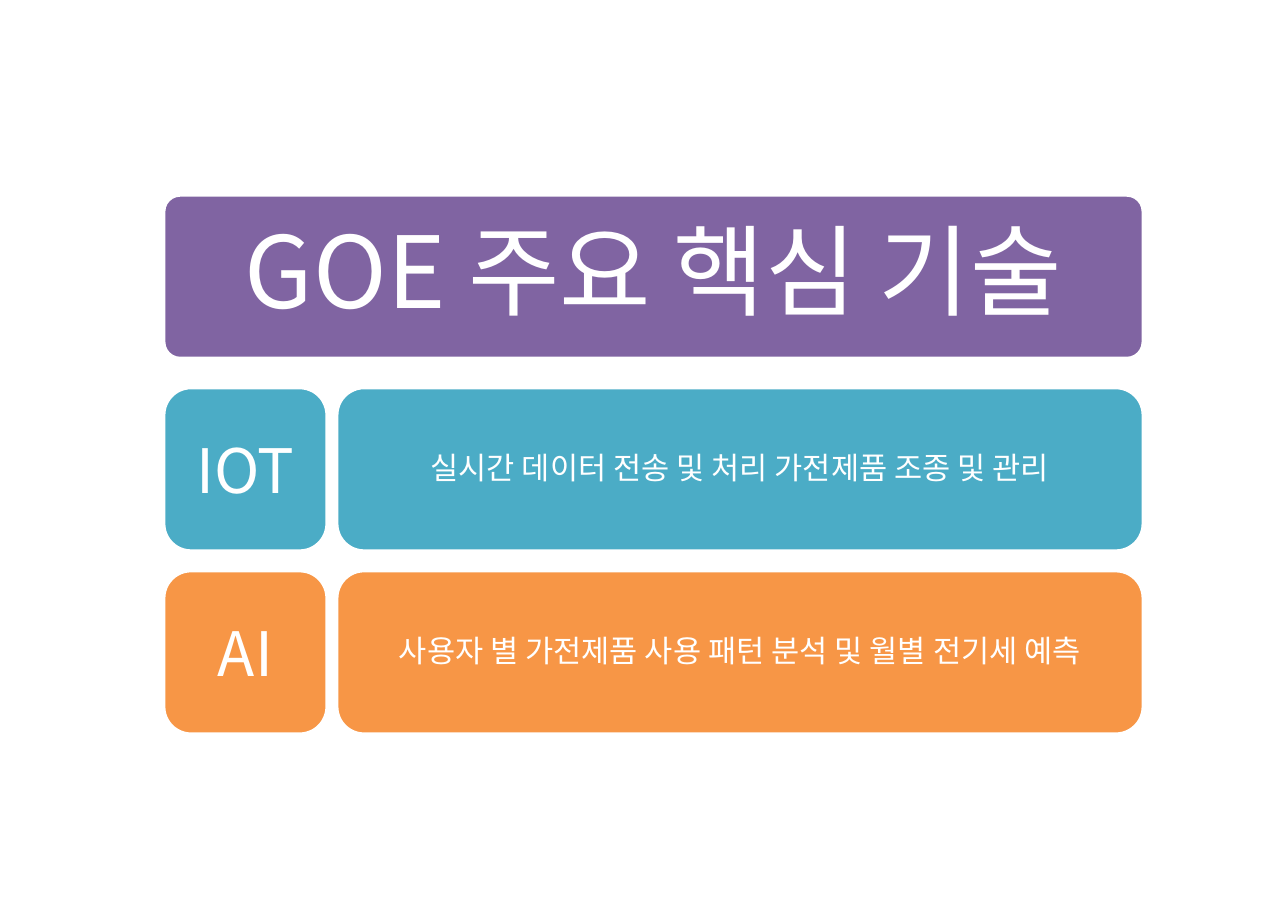
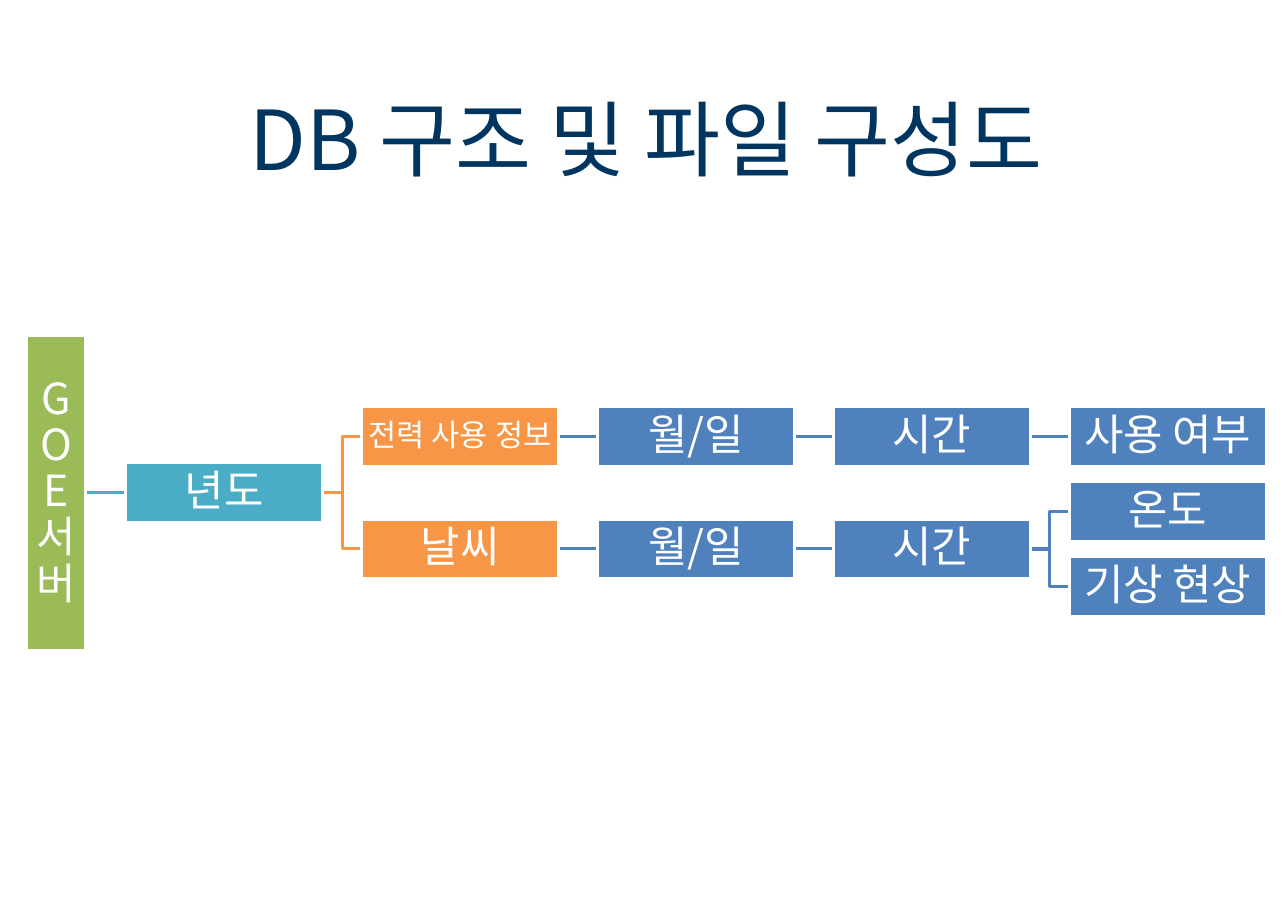
from dataclasses import dataclass

from lxml.etree import SubElement
from pptx import Presentation
from pptx.dml.color import RGBColor
from pptx.enum.shapes import MSO_CONNECTOR, MSO_SHAPE
from pptx.enum.text import MSO_ANCHOR, MSO_AUTO_SIZE, PP_ALIGN
from pptx.oxml.ns import qn
from pptx.util import Cm, Pt

TITLE_ONLY = 5
RIGHT_SIDE, LEFT_SIDE = 3, 1


@dataclass(frozen=True)
class Theme:
    font: str = "Noto Sans CJK KR"
    white: str = "FFFFFF"
    navy: str = "00355F"
    purple: str = "8064A2"
    teal: str = "4BACC6"
    orange: str = "F79646"
    green: str = "9BBB59"
    blue: str = "4F81BD"
    banner_size: int = 65
    title_size: int = 54
    label_size: int = 40
    node_size: int = 28
    detail_size: int = 20
    line_width: int = 2
    line_spacing: float = 0.9


THEME = Theme()


@dataclass
class Node:
    """Box of the tree; a leaf has a row, a parent sits midway between its children."""
    text: str
    color: str
    children: tuple = ()
    leaf_row: float = 0
    size: int = THEME.node_size

    @property
    def row(self):
        if not self.children:
            return self.leaf_row
        return sum(child.row for child in self.children) / len(self.children)


class Deck:
    def __init__(self, theme):
        self.theme = theme
        self.presentation = Presentation()
        self.presentation.slide_width = Cm(29.7)
        self.presentation.slide_height = Cm(21)
        self.slide = None

    def add_slide(self):
        layout = self.presentation.slide_layouts[TITLE_ONLY]
        self.slide = self.presentation.slides.add_slide(layout)

    def set_text(self, shape, text, size, color, margin=0.05, spacing=None,
                 anchor=MSO_ANCHOR.MIDDLE):
        frame = shape.text_frame
        frame.text = text
        frame.word_wrap = True
        frame.auto_size = MSO_AUTO_SIZE.NONE
        frame.vertical_anchor = anchor
        frame.margin_left = frame.margin_right = Cm(margin)
        frame.margin_top = frame.margin_bottom = Cm(min(margin, 0.13))
        paragraph = frame.paragraphs[0]
        paragraph.alignment = PP_ALIGN.CENTER
        paragraph.line_spacing = spacing
        paragraph.font.size = Pt(size)
        paragraph.font.color.rgb = RGBColor.from_string(color)
        paragraph.font.name = self.theme.font
        properties = paragraph._p.pPr.find(qn("a:defRPr"))
        SubElement(properties, qn("a:ea")).set("typeface", self.theme.font)

    def title(self, text, left, top, width, height, size, color, **style):
        title = self.slide.shapes.title
        title.left, title.top = Cm(left), Cm(top)
        title.width, title.height = Cm(width), Cm(height)
        self.set_text(title, text, size, color, **style)
        return title

    def box(self, left, top, width, height, color, corner=None):
        """Add a white-edged box; corner is the rounding ratio, if any."""
        kind = MSO_SHAPE.RECTANGLE if corner is None else MSO_SHAPE.ROUNDED_RECTANGLE
        shape = self.slide.shapes.add_shape(kind, Cm(left), Cm(top), Cm(width), Cm(height))
        if corner is not None:
            shape.adjustments[0] = corner
        shape.shadow.inherit = False
        shape.fill.solid()
        shape.fill.fore_color.rgb = RGBColor.from_string(color)
        shape.line.color.rgb = RGBColor.from_string(self.theme.white)
        shape.line.width = Pt(self.theme.line_width)
        return shape

    def banner(self, text, left, top, width, height, color):
        """Lay the slide title over a rounded band."""
        band = self.box(left, top, width, height, color, corner=0.1)
        title = self.title(text, left, top, width, height, self.theme.banner_size,
                           self.theme.white, margin=0.4, spacing=self.theme.line_spacing)
        title.element.addprevious(band.element)

    def link(self, parent, child, color):
        """Join two boxes side to side, behind both of them."""
        start_y, end_y = (box.top + box.height // 2 for box in (parent, child))
        level = abs(start_y - end_y) < Pt(1)
        kind = MSO_CONNECTOR.STRAIGHT if level else MSO_CONNECTOR.ELBOW
        connector = self.slide.shapes.add_connector(
            kind, parent.left + parent.width, start_y, child.left, end_y)
        connector.begin_connect(parent, RIGHT_SIDE)
        connector.end_connect(child, LEFT_SIDE)
        connector.line.color.rgb = RGBColor.from_string(color)
        connector.line.width = Pt(self.theme.line_width)
        SubElement(connector.element.spPr, qn("a:effectLst"))
        parent.element.addprevious(connector.element)

    def tree(self, node, column=0, parent=None):
        first_left, column_step, first_row, row_step = 2.9, 5.44, 10.06, 1.73
        thickness, width, root_length, root_left = 1.38, 4.54, 7.26, 0.6
        center = first_row + node.row * row_step
        if parent is None:
            shape = self.box(root_left, center - root_length / 2, thickness, root_length, node.color)
        else:
            left = first_left + (column - 1) * column_step
            shape = self.box(left, center - thickness / 2, width, thickness, node.color)
            self.link(parent, shape, node.color)
        self.set_text(shape, node.text, node.size, self.theme.white,
                      spacing=self.theme.line_spacing)
        for child in node.children:
            self.tree(child, column + 1, shape)


def build_technology_slide(deck):
    theme = deck.theme
    left, width, height, detail_left = 3.78, 22.58, 3.76, 7.77
    first_top, row_step, corner = 8.94, 4.22, 0.167
    deck.add_slide()
    deck.banner("GOE 주요 핵심 기술", left, 4.5, width, height, theme.purple)
    rows = (
        ("IOT", "실시간 데이터 전송 및 처리 가전제품 조종 및 관리", theme.teal),
        ("AI", "사용자 별 가전제품 사용 패턴 분석 및 월별 전기세 예측", theme.orange),
    )
    for index, (name, detail, color) in enumerate(rows):
        top = first_top + index * row_step
        label = deck.box(left, top, height, height, color, corner)
        deck.set_text(label, name, theme.label_size, theme.white)
        panel = deck.box(detail_left, top, left + width - detail_left, height, color, corner)
        deck.set_text(panel, detail, theme.detail_size, theme.white, margin=0.5,
                      spacing=theme.line_spacing)


def build_database_slide(deck):
    theme = deck.theme

    def daily_branch(*leaves):
        return (Node("월/일", theme.blue, (Node("시간", theme.blue, leaves),)),)

    usage = daily_branch(Node("사용 여부", theme.blue, leaf_row=0))
    weather = daily_branch(Node("온도", theme.blue, leaf_row=1),
                           Node("기상 현상", theme.blue, leaf_row=2))
    year = Node("년도", theme.teal, (
        Node("전력 사용 정보", theme.orange, usage, size=theme.detail_size),
        Node("날씨", theme.orange, weather),
    ))
    deck.add_slide()
    deck.title("DB 구조 및 파일 구성도", 5.33, 1.9, 19.15, 4.9, theme.title_size, theme.navy,
               margin=0.25, anchor=MSO_ANCHOR.TOP)
    deck.tree(Node("GOE 서버", theme.green, (year,)))


def main():
    deck = Deck(THEME)
    build_technology_slide(deck)
    build_database_slide(deck)
    deck.presentation.save("out.pptx")


if __name__ == "__main__":
    main()
